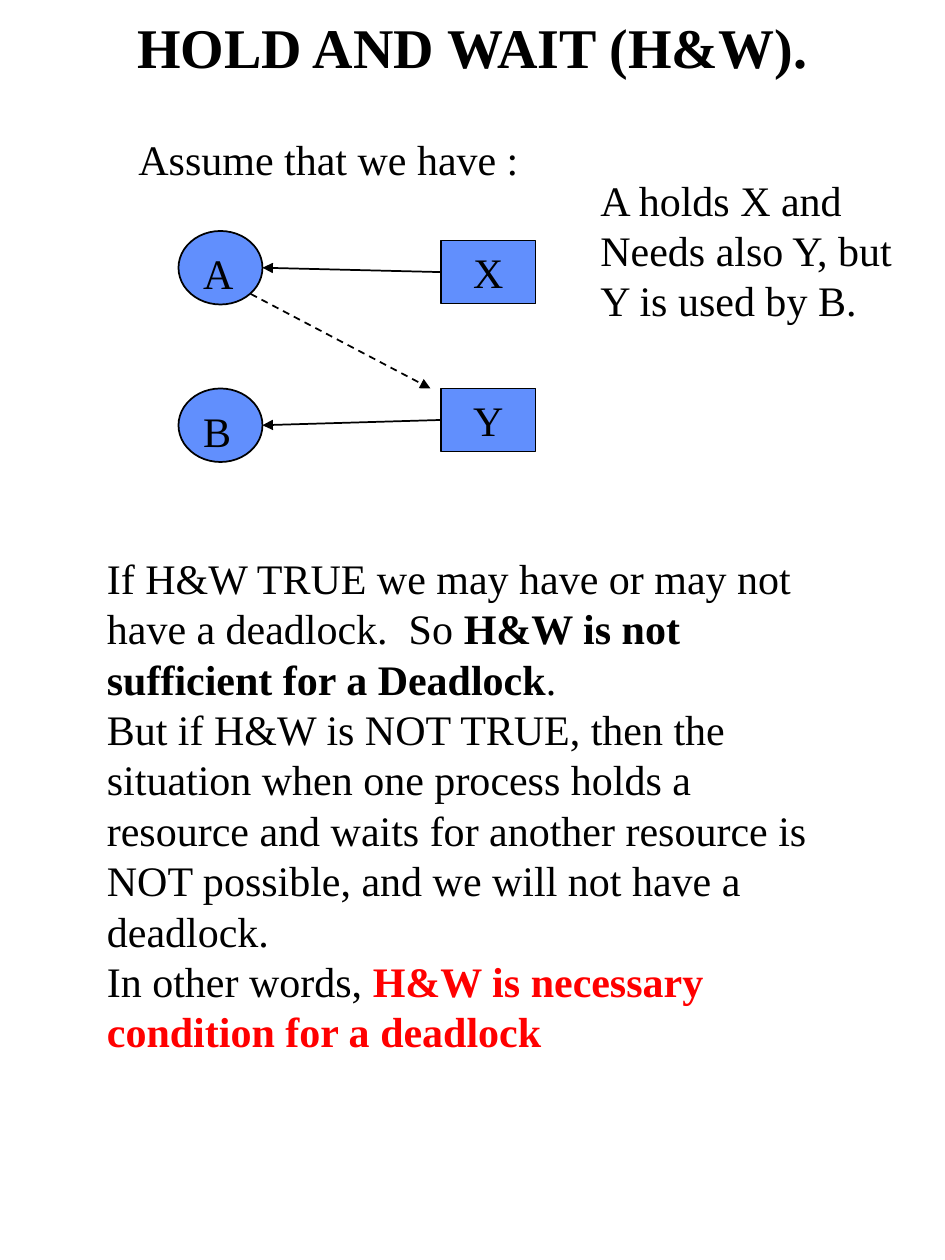
"""Build the hold-and-wait deadlock slide."""
import pptx
import pptx.dml.color
import pptx.enum.dml
import pptx.enum.shapes
import pptx.enum.text
import pptx.oxml.ns
import pptx.util
from lxml import etree

Pt = pptx.util.Pt
RGBColor = pptx.dml.color.RGBColor
SHAPES = pptx.enum.shapes.MSO_SHAPE
ALIGN = pptx.enum.text.PP_ALIGN
ANCHOR = pptx.enum.text.MSO_ANCHOR

BLACK = RGBColor(0, 0, 0)
BLUE = RGBColor(0x61, 0x8F, 0xFD)
RED = RGBColor(0xFF, 0, 0)
FONT = "Times New Roman"

TITLE = "HOLD AND WAIT (H&W)."
TEXTS = [
    ((72, 73, 234, 36), False, [[("Assume that we have :", False, BLACK)]]),
    ((336, 96, 183, 94), False, [
        [("A holds X and", False, BLACK)],
        [("Needs also Y, but", False, BLACK)],
        [("Y is used by B.", False, BLACK)],
    ]),
    ((54, 312, 414, 298), True, [
        [("If H&W TRUE we may have or may not have a deadlock.  So ", False, BLACK),
         ("H&W is not sufficient for a Deadlock", True, BLACK),
         (".", False, BLACK)],
        [("But if H&W is NOT TRUE, then the situation when one process holds a "
          "resource and waits for another resource is NOT possible, and we will "
          "not have a deadlock.", False, BLACK)],
        [("In other words, ", False, BLACK),
         ("H&W is necessary condition for a deadlock", True, RED)],
    ]),
]
HOLDS = [("A", 132, "X", 137.5), ("B", 222, "Y", 222)]
PROCESS_LEFT, PROCESS_WIDTH, PROCESS_HEIGHT = 102, 48, 42
RESOURCE_LEFT, RESOURCE_WIDTH, RESOURCE_HEIGHT = 252, 54, 36
REQUEST = (143.3, 168, 246, 222)


def set_font(font, size, color=BLACK, bold=False):
    font.name, font.size, font.bold = FONT, Pt(size), bold
    font.color.rgb = color


def add_text(slide, box, wrap, paragraphs):
    frame = slide.shapes.add_textbox(*map(Pt, box)).text_frame
    frame.word_wrap = wrap
    for index, runs in enumerate(paragraphs):
        paragraph = frame.add_paragraph() if index else frame.paragraphs[0]
        for text, bold, color in runs:
            run = paragraph.add_run()
            run.text = text
            set_font(run.font, 24, color, bold)


def add_node(slide, kind, label, box, alignment):
    shape = slide.shapes.add_shape(kind, *map(Pt, box))
    shape.shadow.inherit = False
    shape.fill.solid()
    shape.fill.fore_color.rgb = BLUE
    shape.line.color.rgb = BLACK
    shape.line.width = Pt(1)
    shape.text_frame.vertical_anchor = ANCHOR.TOP
    paragraph = shape.text_frame.paragraphs[0]
    paragraph.text = label
    paragraph.alignment = alignment
    set_font(paragraph.font, 24)
    return shape


def add_arrow(slide, ends, dashed=False):
    arrow = slide.shapes.add_connector(
        pptx.enum.shapes.MSO_CONNECTOR.STRAIGHT, *map(Pt, ends))
    arrow.line.color.rgb = BLACK
    arrow.line.width = Pt(1)
    if dashed:
        arrow.line.dash_style = pptx.enum.dml.MSO_LINE.DASH
    qn = pptx.oxml.ns.qn
    etree.SubElement(arrow.line._get_or_add_ln(), qn("a:tailEnd"), type="triangle")
    etree.SubElement(arrow._element.spPr, qn("a:effectLst"))
    return arrow


def main():
    presentation = pptx.Presentation()
    presentation.slide_width, presentation.slide_height = Pt(540), Pt(720)
    slide = presentation.slides.add_slide(presentation.slide_layouts[5])

    title = slide.shapes.title
    title.left, title.top, title.width, title.height = map(Pt, (40, 8, 460, 37))
    title.text_frame.text = TITLE
    title.text_frame.vertical_anchor = ANCHOR.MIDDLE
    title.text_frame.paragraphs[0].alignment = ALIGN.CENTER
    set_font(title.text_frame.paragraphs[0].font, 32, bold=True)

    for box, wrap, paragraphs in TEXTS:
        add_text(slide, box, wrap, paragraphs)

    for process, process_top, resource, resource_top in HOLDS:
        add_node(slide, SHAPES.FLOWCHART_CONNECTOR, process,
                 (PROCESS_LEFT, process_top, PROCESS_WIDTH, PROCESS_HEIGHT), ALIGN.LEFT)
        holder = add_node(slide, SHAPES.FLOWCHART_PROCESS, resource,
                          (RESOURCE_LEFT, resource_top, RESOURCE_WIDTH, RESOURCE_HEIGHT),
                          ALIGN.CENTER)
        arrow = add_arrow(slide, (RESOURCE_LEFT, resource_top + RESOURCE_HEIGHT / 2,
                                  PROCESS_LEFT + PROCESS_WIDTH,
                                  process_top + PROCESS_HEIGHT / 2))
        arrow.begin_connect(holder, 1)
    add_arrow(slide, REQUEST, dashed=True)

    presentation.save("out.pptx")


if __name__ == "__main__":
    main()
